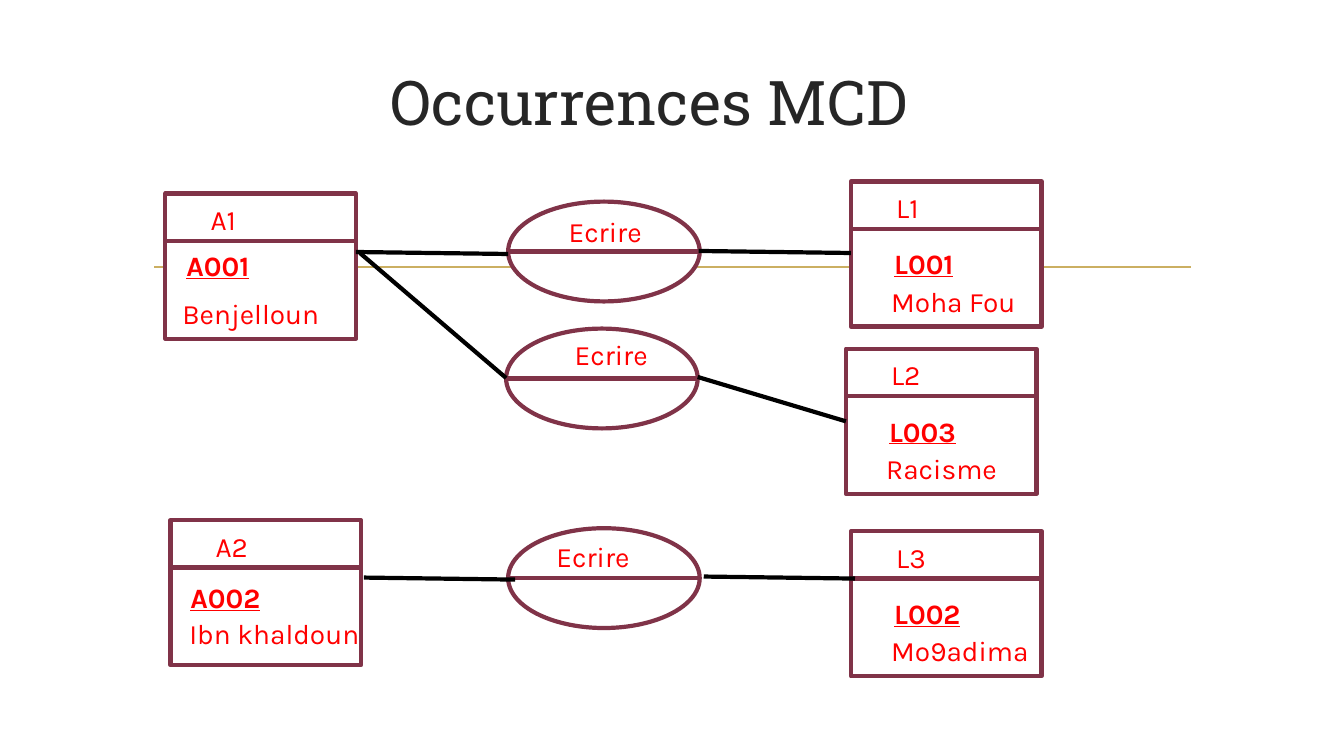
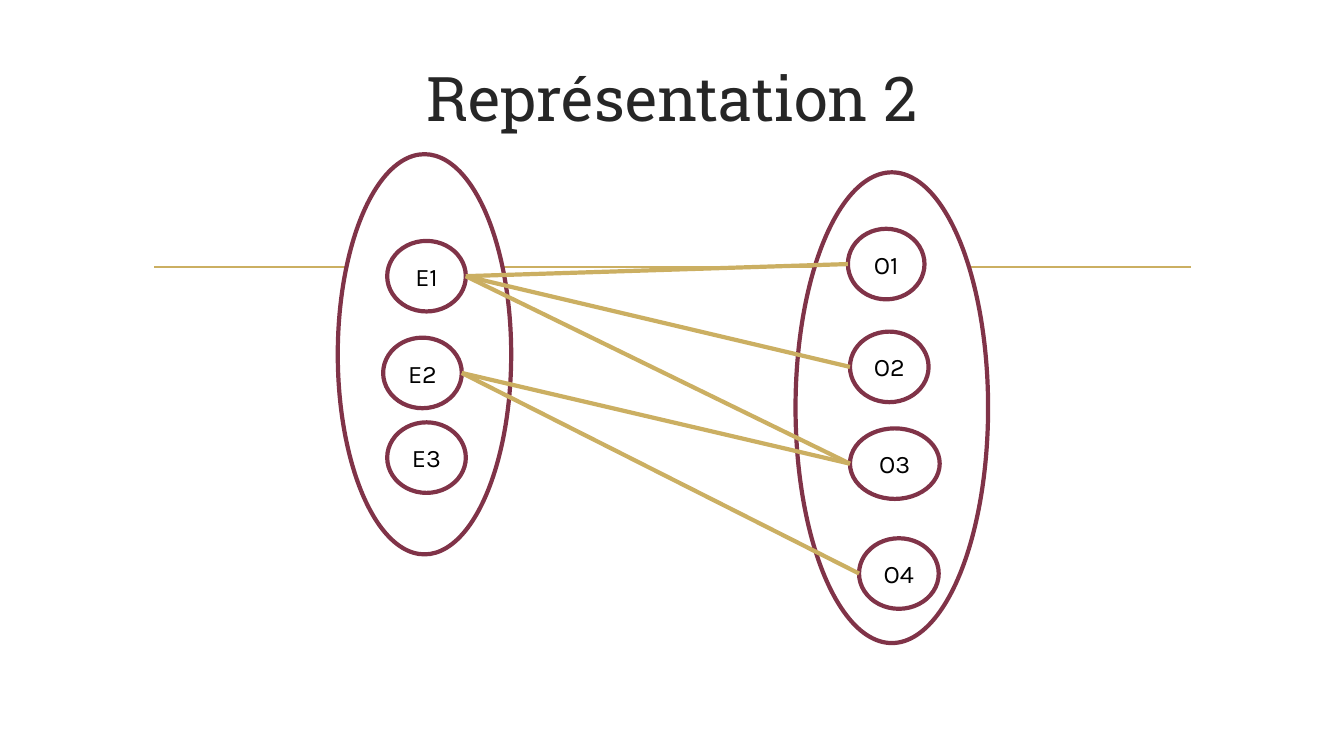
from lxml.etree import SubElement
from pptx import Presentation
from pptx.dml.color import RGBColor
from pptx.enum.shapes import MSO_CONNECTOR as Connector, MSO_SHAPE as Shape
from pptx.enum.text import MSO_ANCHOR as Anchor, PP_ALIGN as Align
from pptx.oxml.ns import qn
from pptx.util import Inches, Pt

PLUM = "803348"
GOLD = "CBAF62"
RED = "FF0000"
BLACK = "000000"
WHITE = "FFFFFF"
CHARCOAL = "262626"
TITLE_FONT = "Roboto Slab"
BODY_FONT = "Karla"

ENTITY_WIDTH, ENTITY_HEIGHT, HEADER_HEIGHT = 1.89, 1.44, 0.47
RELATION_WIDTH, RELATION_HEIGHT = 1.9, 0.99
LABEL_HEIGHT = 0.44
NODE_HEIGHT = 0.7

AUTHOR_OFFSETS = ((0.11, 0.5), (0.07, 0.97))
SECOND_AUTHOR_OFFSETS = ((0.1, 0.55), (0.09, 0.91))
BOOK_OFFSETS = ((0.33, 0.6), (0.3, 0.97))

ENTITIES = [
    (1.64, 1.92, "A1", "A001", "Benjelloun", AUTHOR_OFFSETS, 1.59),
    (1.69, 5.16, "A2", "A002", "Ibn khaldoun", SECOND_AUTHOR_OFFSETS, 1.99),
    (8.44, 1.8, "L1", "L001", "Moha Fou", BOOK_OFFSETS, 1.59),
    (8.39, 3.46, "L2", "L003", "Racisme", BOOK_OFFSETS, 1.59),
    (8.44, 5.27, "L3", "L002", "Mo9adima", BOOK_OFFSETS, 1.59),
]
RELATIONS = [(5.04, 2, 0.5, 0.08), (5.02, 3.26, 0.58, 0.04), (5.04, 5.24, 0.38, 0.06)]
OCCURRENCE_LINKS = [
    (3.53, 2.5, 5.04, 2.52),
    (6.93, 2.49, 8.44, 2.51),
    (3.57, 2.51, 5.02, 3.75),
    (6.92, 3.74, 8.39, 4.18),
    (3.61, 5.73, 5.11, 5.75),
    (6.98, 5.72, 8.48, 5.74),
]
SETS = [(3.35, 1.53, 1.72, 3.97), (7.89, 1.71, 1.91, 4.67)]
NODES = {
    "E1": (3.84, 2.39, 0.78),
    "E2": (3.8, 3.35, 0.78),
    "E3": (3.84, 4.19, 0.78),
    "O1": (8.41, 2.27, 0.76),
    "O2": (8.43, 3.29, 0.78),
    "O3": (8.43, 4.25, 0.89),
    "O4": (8.52, 5.34, 0.79),
}
NODE_LINKS = [("E1", "O1"), ("E1", "O2"), ("E1", "O3"), ("E2", "O3"), ("E2", "O4")]


def rgb(value):
    return RGBColor.from_string(value)


def write(shape, text, size, color, font=BODY_FONT, align=None):
    paragraph = shape.text_frame.paragraphs[0]
    paragraph.text = text
    paragraph.alignment = align
    paragraph.font.name = font
    paragraph.font.size = Pt(size)
    paragraph.font.color.rgb = rgb(color)
    return paragraph


def add_text_box(slide, left, top, width, height):
    box = slide.shapes.add_textbox(*map(Inches, (left, top, width, height)))
    box.text_frame.word_wrap = True
    return box


def add_label(slide, left, top, width, text):
    return write(add_text_box(slide, left, top, width, LABEL_HEIGHT), text, 20, RED)


def add_line(slide, x1, y1, x2, y2, color, weight=3):
    line = slide.shapes.add_connector(Connector.STRAIGHT, *map(Inches, (x1, y1, x2, y2)))
    line.line.color.rgb = rgb(color)
    line.line.width = Pt(weight)
    SubElement(line._element.spPr, qn("a:effectLst"))


def add_outline(slide, kind, left, top, width, height):
    shape = slide.shapes.add_shape(kind, *map(Inches, (left, top, width, height)))
    shape.shadow.inherit = False
    shape.fill.solid()
    shape.fill.fore_color.rgb = rgb(WHITE)
    shape.line.color.rgb = rgb(PLUM)
    shape.line.width = Pt(3)
    return shape


def add_slide(presentation, title, left, top, height):
    slide = presentation.slides.add_slide(presentation.slide_layouts[6])
    add_line(slide, 1.53, 2.65, 11.81, 2.65, GOLD, 1.25)
    box = add_text_box(slide, left, top, 10.5, height)
    box.text_frame.vertical_anchor = Anchor.MIDDLE
    write(box, title, 44, CHARCOAL, TITLE_FONT, Align.CENTER)
    return slide


def add_entity(slide, left, top, header, key, name, offsets, name_width):
    add_outline(slide, Shape.RECTANGLE, left, top, ENTITY_WIDTH, ENTITY_HEIGHT)
    divider = top + HEADER_HEIGHT
    add_line(slide, left, divider, left + ENTITY_WIDTH, divider, PLUM)
    add_label(slide, left + 0.35, top + 0.04, 1.22, header)
    (key_x, key_y), (name_x, name_y) = offsets
    key_label = add_label(slide, left + key_x, top + key_y, 1.59, key)
    key_label.font.bold = True
    key_label.font.underline = True
    add_label(slide, left + name_x, top + name_y, name_width, name)


def add_relation(slide, left, top, label_x, label_y):
    add_outline(slide, Shape.OVAL, left, top, RELATION_WIDTH, RELATION_HEIGHT)
    middle = top + RELATION_HEIGHT / 2
    add_line(slide, left, middle, left + RELATION_WIDTH, middle, PLUM)
    add_label(slide, left + label_x, top + label_y, 1.01, "Ecrire")


def add_node(slide, name, left, top, width):
    node = add_outline(slide, Shape.OVAL, left, top, width, NODE_HEIGHT)
    node.text_frame.vertical_anchor = Anchor.MIDDLE
    write(node, name, 18, BLACK, align=Align.CENTER)


def add_node_link(slide, source, target):
    source_left, source_top, source_width = NODES[source]
    target_left, target_top, _ = NODES[target]
    half = NODE_HEIGHT / 2
    add_line(slide, source_left + source_width, source_top + half,
             target_left, target_top + half, GOLD)


def build_occurrences(presentation):
    slide = add_slide(presentation, "Occurrences MCD", 1.19, 0.51, 0.98)
    for entity in ENTITIES:
        add_entity(slide, *entity)
    for relation in RELATIONS:
        add_relation(slide, *relation)
    for link in OCCURRENCE_LINKS:
        add_line(slide, *link, BLACK)


def build_sets(presentation):
    slide = add_slide(presentation, "Représentation 2", 1.42, 0.49, 0.94)
    for bounds in SETS:
        add_outline(slide, Shape.OVAL, *bounds)
    for name, place in NODES.items():
        add_node(slide, name, *place)
    for source, target in NODE_LINKS:
        add_node_link(slide, source, target)


def main():
    presentation = Presentation()
    presentation.slide_width = Inches(13.33)
    presentation.slide_height = Inches(7.5)
    build_occurrences(presentation)
    build_sets(presentation)
    presentation.save("out.pptx")


if __name__ == "__main__":
    main()
